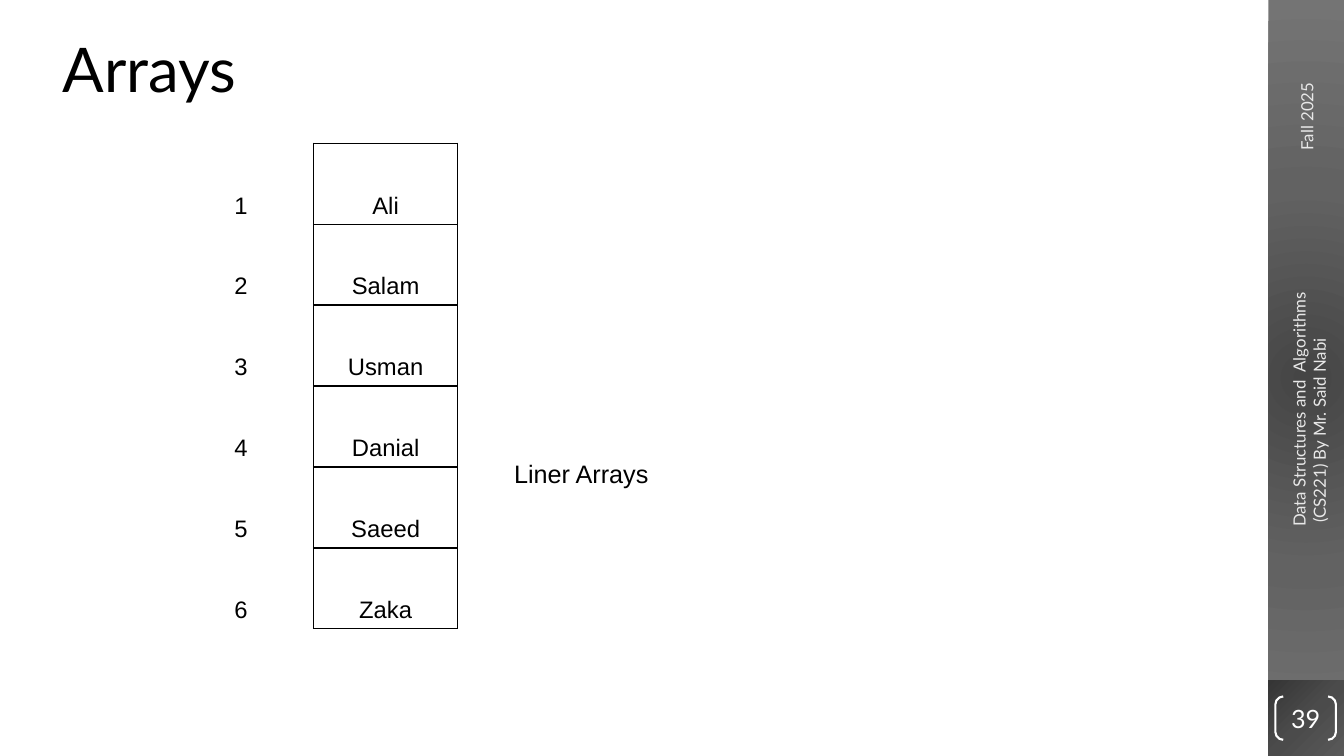
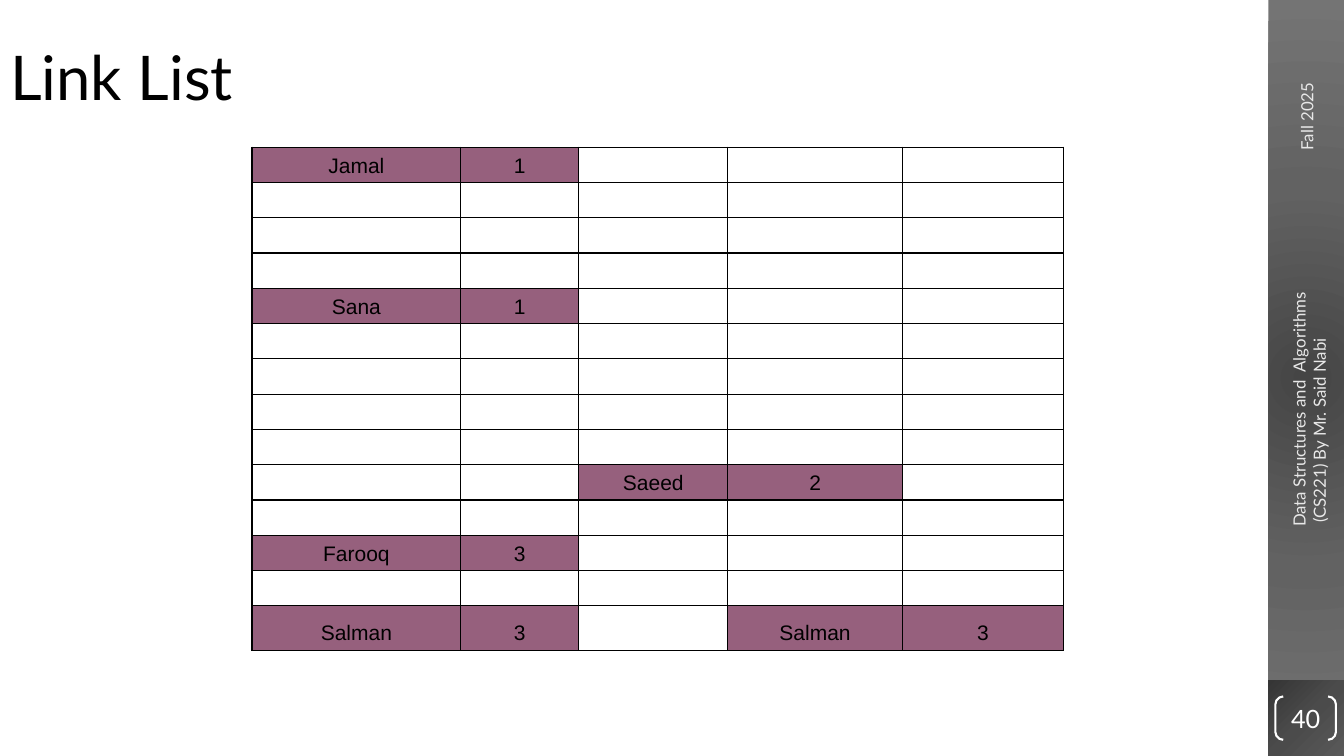
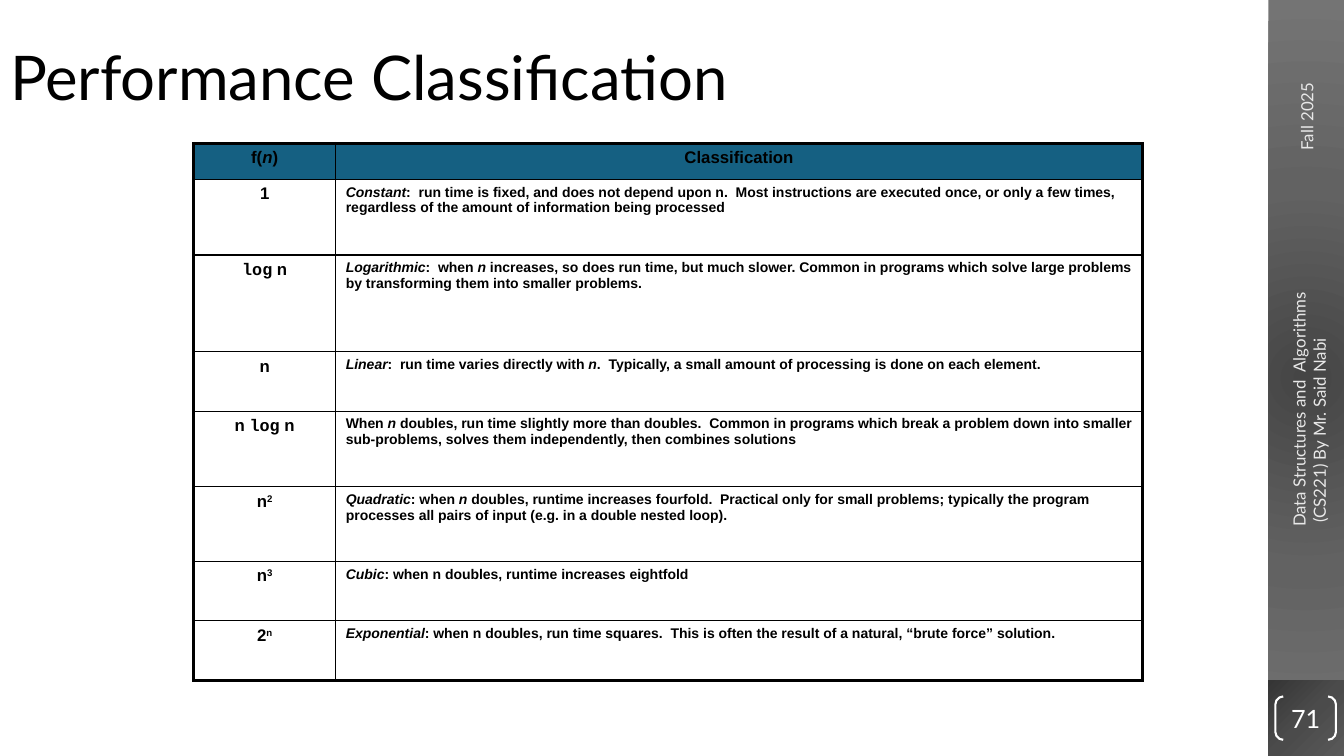
"""Builds three lecture slides on arrays, linked lists and growth classes."""
from pptx import Presentation
from pptx.dml.color import RGBColor
from pptx.enum.shapes import MSO_SHAPE
from pptx.enum.text import MSO_ANCHOR, MSO_AUTO_SIZE, PP_ALIGN
from pptx.oxml import parse_xml
from pptx.oxml.ns import nsdecls, qn
from pptx.util import Inches, Pt

WIDE, HIGH, BAND = 13.33, 7.5, 0.75
EDGE = WIDE - BAND
HEX = {"ink": "000000", "paper": "FFFFFF", "pale": "E8E8E8",
       "plum": "96607D", "teal": "156082"}
BANDS = [
    (0, HIGH, ("454545", "626262", "747474"), (50, 50, 50, 50)),
    (HIGH - BAND, BAND, ("353535", "4B4B4B", "595959"), (0, 0, 100, 100)),
]
NOTES = [
    ((12.25, 0.73, 1.42, 0.3), ["Fall 2025"]),
    ((11.65, 3.74, 2.67, 0.5),
     ["Data Structures and  Algorithms", " (CS221) By Mr. Said Nabi"]),
]
NAMES = ["Ali", "Salam", "Usman", "Danial", "Saeed", "Zaka"]
NODES = {
    (0, 0): ("Jamal", "1"), (4, 0): ("Sana", "1"), (9, 2): ("Saeed", "2"),
    (11, 0): ("Farooq", "3"), (13, 0): ("Salman", "3"), (13, 3): ("Salman", "3"),
}
GROWTH = [
    ("f(|in|)", "Classification", 0.36),
    ("1", "|iConstant|:  run time is fixed, and does not depend upon n.  Most instructions are executed once, or only a few times, regardless of the amount of information being processed", 0.75),
    ("|`log| n", "|iLogarithmic|:  when |in| increases, so does run time, but much slower. Common in programs which solve large problems by transforming them into smaller problems.", 0.96),
    ("n", "|iLinear|:  run time varies directly with|i n|.  Typically, a small amount of processing is done on each element.", 0.59),
    ("n |`log| n", "When |in| doubles, run time slightly more than doubles.  Common in programs which break a problem down into smaller sub-problems, solves them independently, then combines solutions", 0.75),
    ("n|^2", "|iQuadratic|: when |in |doubles, runtime increases fourfold.  Practical only for small problems; typically the program processes all pairs of input (e.g. in a double nested loop).", 0.74),
    ("n|^3", "|iCubic|: when n doubles, runtime increases eightfold", 0.59),
    ("2|^n", "|iExponential|: when n doubles, run time squares.  This is often the result of a natural, “brute force” solution.", 0.59),
]


def ink(name):
    return RGBColor.from_string(HEX[name])


def box(*nums):
    return [Inches(n) for n in nums]


def style(para, size, face="Arial", color="ink", bold=False, align=PP_ALIGN.LEFT):
    font = para.font
    font.size, font.name, font.bold = Pt(size), face, bold
    font.color.rgb = ink(color)
    para.alignment = align


def write(para, text):
    """Adds runs; every second piece between bars opens with its mark."""
    for i, piece in enumerate(text.split("|")):
        mark, words = (piece[:1], piece[1:]) if i % 2 else ("", piece)
        if not words:
            continue
        run = para.add_run()
        run.text = words
        if mark == "i":
            run.font.italic = True
        elif mark == "`":
            run.font.name = "Courier New"
        elif mark == "^":
            run.font._element.set("baseline", "30000")


def blend(shape, stops, focus):
    marks = "".join(f'<a:gs pos="{i * 50000}"><a:srgbClr val="{c}"/></a:gs>'
                    for i, c in enumerate(stops))
    sides = " ".join(f'{s}="{n * 1000}"' for s, n in zip("ltrb", focus))
    shape.fill.background()
    props = shape.element.spPr
    props.replace(props.find(qn("a:noFill")), parse_xml(
        f'<a:gradFill {nsdecls("a")} rotWithShape="1"><a:gsLst>{marks}</a:gsLst>'
        f'<a:path path="circle"><a:fillToRect {sides}/></a:path></a:gradFill>'))


def label(slide, place, lines, size, face, color, turn=0, wrap=True):
    note = slide.shapes.add_textbox(*box(*place))
    note.rotation = turn
    frame = note.text_frame
    frame.word_wrap = wrap
    frame.text = "\n".join(lines)
    for para in frame.paragraphs:
        style(para, size, face, color)
    return note


def dress(slide, layout):
    """Draws the side band and hands it to the layout."""
    for holder in list(layout.placeholders)[1:]:
        holder.element.getparent().remove(holder.element)
    parts = []
    for top, high, stops, focus in BANDS:
        band = slide.shapes.add_shape(MSO_SHAPE.RECTANGLE, *box(EDGE, top, BAND, high))
        band.shadow.inherit = False
        blend(band, stops, focus)
        band.line.fill.background()
        parts.append(band)
    parts += [label(slide, place, lines, 12, "Lato", "pale", 270)
              for place, lines in NOTES]
    for part in parts:
        layout.shapes.element.append(part.element)


def head(slide, text, left, top, page):
    title = slide.shapes.title
    title.left, title.top, title.width, title.height = box(left, top, WIDE, 0.92)
    frame = title.text_frame
    frame.text = text
    frame.auto_size = MSO_AUTO_SIZE.NONE
    frame.vertical_anchor = MSO_ANCHOR.TOP
    para = frame.paragraphs[0]
    style(para, 44, "Lato")
    para.line_spacing = 0.9

    badge = slide.shapes.add_shape(MSO_SHAPE.DOUBLE_BRACKET, *box(12.65, 6.91, 0.6, 0.43))
    badge.adjustments[0] = 0.18
    badge.shadow.inherit = False
    badge.fill.background()
    badge.line.color.rgb = ink("paper")
    badge.line.width = Pt(1.5)
    frame = badge.text_frame
    frame.margin_left = frame.margin_right = frame.margin_top = frame.margin_bottom = 0
    frame.vertical_anchor = MSO_ANCHOR.MIDDLE
    frame.text = str(page)
    style(frame.paragraphs[0], 18, "Lato", "paper", align=PP_ALIGN.CENTER)


def rule(cell, sides):
    """Sets the widths of the left, right, top and bottom borders."""
    props = cell._tc.get_or_add_tcPr()
    for side, width in zip("LRTB", sides):
        fill = (f'<a:solidFill><a:srgbClr val="{HEX["ink"]}"/></a:solidFill>'
                if width else "<a:noFill/>")
        props.append(parse_xml(
            f'<a:ln{side} {nsdecls("a")} w="{int(width * 12700)}">{fill}</a:ln{side}>'))


def grid(slide, left, top, cols, rows, look):
    """Adds a table; look(row, col) gives text, font, fill, borders and anchor."""
    table = slide.shapes.add_table(
        len(rows), len(cols), *box(left, top, sum(cols), sum(rows))).table
    table.first_row = table.horz_banding = False
    for line, size in zip([*table.columns], cols):
        line.width = Inches(size)
    for line, size in zip([*table.rows], rows):
        line.height = Inches(size)
    for r in range(len(rows)):
        for c in range(len(cols)):
            text, font, fill, sides, anchor = look(r, c)
            cell = table.cell(r, c)
            rule(cell, sides)
            if fill:
                cell.fill.solid()
                cell.fill.fore_color.rgb = ink(fill)
            else:
                cell.fill.background()
            cell.vertical_anchor = anchor
            if not text:
                cell.margin_top = cell.margin_bottom = 0
            para = cell.text_frame.paragraphs[0]
            style(para, **font)
            write(para, text)


def name(r, c):
    font = {"size": 17, "align": PP_ALIGN.CENTER}
    sides = (1, 1, 1, 1) if c else (0, 1, 0, 0)
    return NAMES[r] if c else str(r + 1), font, None, sides, MSO_ANCHOR.BOTTOM


def node(r, c):
    cells = {(row, col + i): text for (row, col), pair in NODES.items()
             for i, text in enumerate(pair)}
    text = cells.get((r, c), "")
    font = {"size": 15, "align": PP_ALIGN.CENTER}
    return text, font, "plum" if text else None, (1,) * 4, MSO_ANCHOR.BOTTOM


def growth(r, c):
    body = r and c
    font = {"size": 10 if body else 12, "bold": True,
            "align": PP_ALIGN.LEFT if body else PP_ALIGN.CENTER}
    outer = (c == 0, c == 1, r == 0, r == len(GROWTH) - 1)
    sides = [2.25 if edge else 1 for edge in outer]
    return GROWTH[r][c], font, None if r else "teal", sides, MSO_ANCHOR.TOP


def main():
    deck = Presentation()
    deck.slide_width, deck.slide_height = box(WIDE, HIGH)
    layout = deck.slide_layouts[5]
    first, second, third = [deck.slides.add_slide(layout) for _ in range(3)]
    dress(first, layout)

    head(first, "Arrays", 0.52, 0.34, 39)
    grid(first, 1.67, 1.42, [1.44, 1.43], [4.82 / 6] * 6, name)
    label(first, (5, 4.5, 1.55, 0.4), ["Liner Arrays"], 18, "Arial", "ink", wrap=False)

    head(second, "Link List", 0, 0.42, 40)
    grid(second, 2.5, 1.46, [2.07, 1.17, 1.48, 1.73, 1.6], [0.35] * 13 + [0.44], node)

    head(third, "Performance Classification", 0, 0.42, 71)
    grid(third, 1.92, 1.42, [1.41, 8], [row[2] for row in GROWTH], growth)
    deck.save("out.pptx")


if __name__ == "__main__":
    main()
